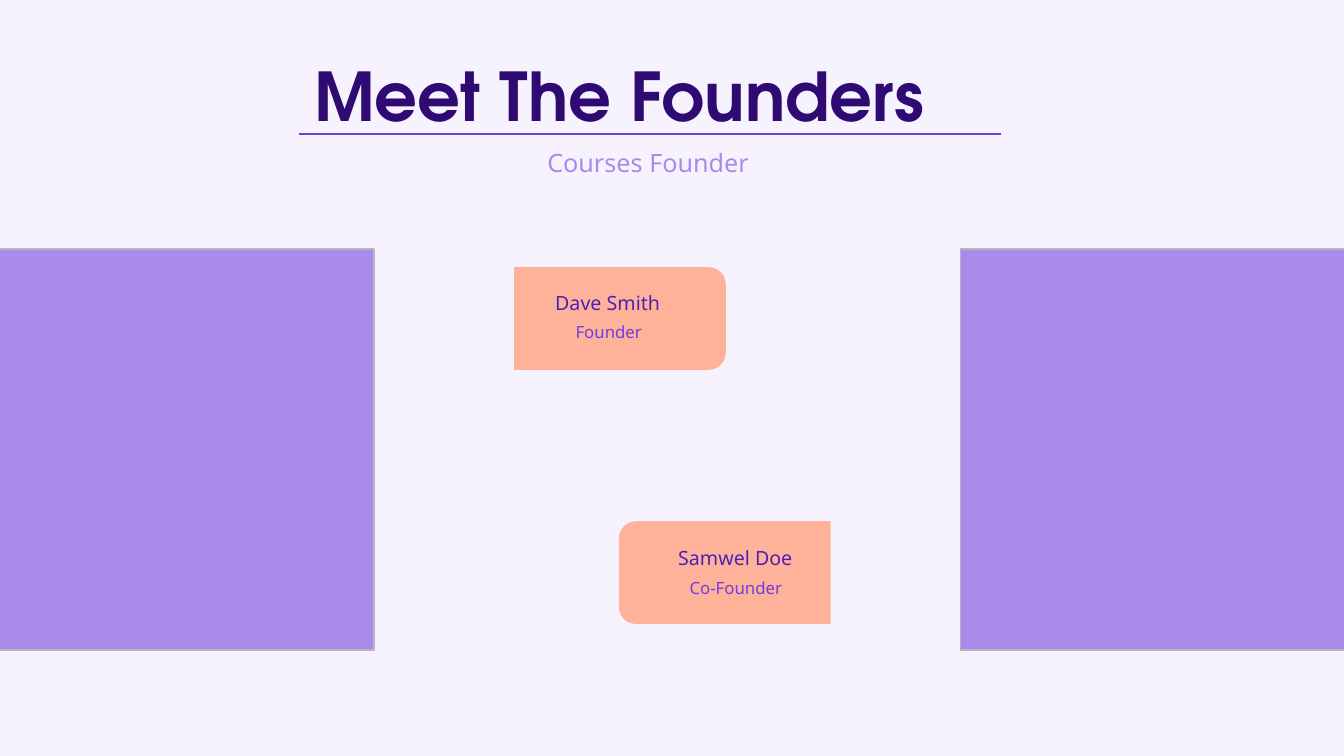
from dataclasses import dataclass

from lxml import etree
from pptx import Presentation
from pptx.dml.color import RGBColor
from pptx.enum.shapes import MSO_CONNECTOR, MSO_SHAPE
from pptx.enum.text import MSO_ANCHOR, PP_ALIGN
from pptx.oxml.ns import qn
from pptx.shapes.autoshape import Shape
from pptx.slide import Slide
from pptx.util import Pt

RECTANGLE = MSO_SHAPE.RECTANGLE
ROUNDED_TOP = MSO_SHAPE.ROUND_2_SAME_RECTANGLE
STRAIGHT = MSO_CONNECTOR.STRAIGHT
LEFT, CENTER = PP_ALIGN.LEFT, PP_ALIGN.CENTER
TOP = MSO_ANCHOR.TOP

COLORS = {
    "background": "F7F3FE",
    "panel": "AA8BEB",
    "panel_line": "B7B4BC",
    "title": "300A73",
    "card": "FFB29A",
    "name": "4F20B4",
    "accent": "713EDD",
}
TITLE_FONT = "TeX Gyre Adventor"
BODY_FONT = "Noto Sans"

# Layout measures in points
SLIDE_WIDTH, SLIDE_HEIGHT = 960, 540
PANEL_TOP, PANEL_WIDTH, PANEL_HEIGHT = 177.8, 274.3, 286.6
CARD_WIDTH, CARD_HEIGHT = 73.4, 151.2
RULE_LEFT, RULE_RIGHT, RULE_TOP = 213.8, 715, 95.8


@dataclass(frozen=True)
class Box:
    left: float
    top: float
    width: float
    height: float


@dataclass(frozen=True)
class Label:
    text: str
    box: Box
    size: float
    color: str
    font: str = BODY_FONT
    alignment: PP_ALIGN = CENTER
    bold: bool = False


@dataclass(frozen=True)
class Card:
    left: float
    top: float
    rotation: float
    labels: tuple[Label, Label]


TITLE = Label("Meet The Founders", Box(217.4, 35.3, 525.6, 72), 48, "title",
              TITLE_FONT, LEFT, True)
SUBTITLE = Label("Courses Founder", Box(383.8, 102, 193, 26.6), 18, "panel",
                 alignment=LEFT)
PANEL_LEFTS = (686.2, -7.2)
CARDS = (
    Card(481, 333.4, 270, (
        Label("Samwel Doe", Box(471.6, 386.2, 107.3, 20.9), 14, "name"),
        Label("Co-Founder", Box(482.4, 409, 86.4, 20.9), 12, "accent"),
    )),
    Card(406.1, 151.9, 90, (
        Label("Dave Smith", Box(386.6, 204.5, 95, 24.5), 14, "name"),
        Label("Founder", Box(401, 226.2, 67.7, 24.5), 12, "accent"),
    )),
)


def color(name: str) -> RGBColor:
    return RGBColor.from_string(COLORS[name])


def place(shape: Shape, box: Box) -> None:
    shape.left, shape.top = Pt(box.left), Pt(box.top)
    shape.width, shape.height = Pt(box.width), Pt(box.height)


def format_label(shape: Shape, label: Label) -> None:
    place(shape, label.box)
    text_frame = shape.text_frame
    text_frame.text = label.text
    text_frame.word_wrap = True
    text_frame.vertical_anchor = TOP
    paragraph = text_frame.paragraphs[0]
    paragraph.alignment = label.alignment
    font = paragraph.runs[0].font
    font.name = label.font
    font.size = Pt(label.size)
    font.bold = label.bold
    font.color.rgb = color(label.color)


def add_label(slide: Slide, label: Label) -> None:
    format_label(slide.shapes.add_textbox(0, 0, 0, 0), label)


def add_filled_shape(slide: Slide, kind: MSO_SHAPE, box: Box, fill: str) -> Shape:
    shape = slide.shapes.add_shape(kind, 0, 0, 0, 0)
    place(shape, box)
    shape.shadow.inherit = False
    shape.fill.solid()
    shape.fill.fore_color.rgb = color(fill)
    shape.line.fill.background()
    return shape


def add_panel(slide: Slide, left: float) -> None:
    box = Box(left, PANEL_TOP, PANEL_WIDTH, PANEL_HEIGHT)
    panel = add_filled_shape(slide, RECTANGLE, box, "panel")
    panel.line.color.rgb = color("panel_line")
    panel.line.width = Pt(1)


def add_card(slide: Slide, card: Card) -> None:
    box = Box(card.left, card.top, CARD_WIDTH, CARD_HEIGHT)
    shape = add_filled_shape(slide, ROUNDED_TOP, box, "card")
    shape.rotation = card.rotation
    for label in card.labels:
        add_label(slide, label)


def add_title_rule(slide: Slide) -> None:
    rule = slide.shapes.add_connector(
        STRAIGHT, Pt(RULE_LEFT), Pt(RULE_TOP), Pt(RULE_RIGHT), Pt(RULE_TOP))
    rule.line.color.rgb = color("accent")
    rule.line.width = Pt(1)
    etree.SubElement(rule._element.spPr, qn("a:effectLst"))


def main() -> None:
    presentation = Presentation()
    presentation.slide_width = Pt(SLIDE_WIDTH)
    presentation.slide_height = Pt(SLIDE_HEIGHT)
    title_only = presentation.slide_layouts.get_by_name("Title Only")
    slide = presentation.slides.add_slide(title_only)
    slide.background.fill.solid()
    slide.background.fill.fore_color.rgb = color("background")

    # Side panels
    for left in PANEL_LEFTS:
        add_panel(slide, left)

    # Heading
    format_label(slide.shapes.title, TITLE)
    add_label(slide, SUBTITLE)
    add_title_rule(slide)

    # Founder cards
    for card in CARDS:
        add_card(slide, card)

    presentation.save("out.pptx")


if __name__ == "__main__":
    main()
